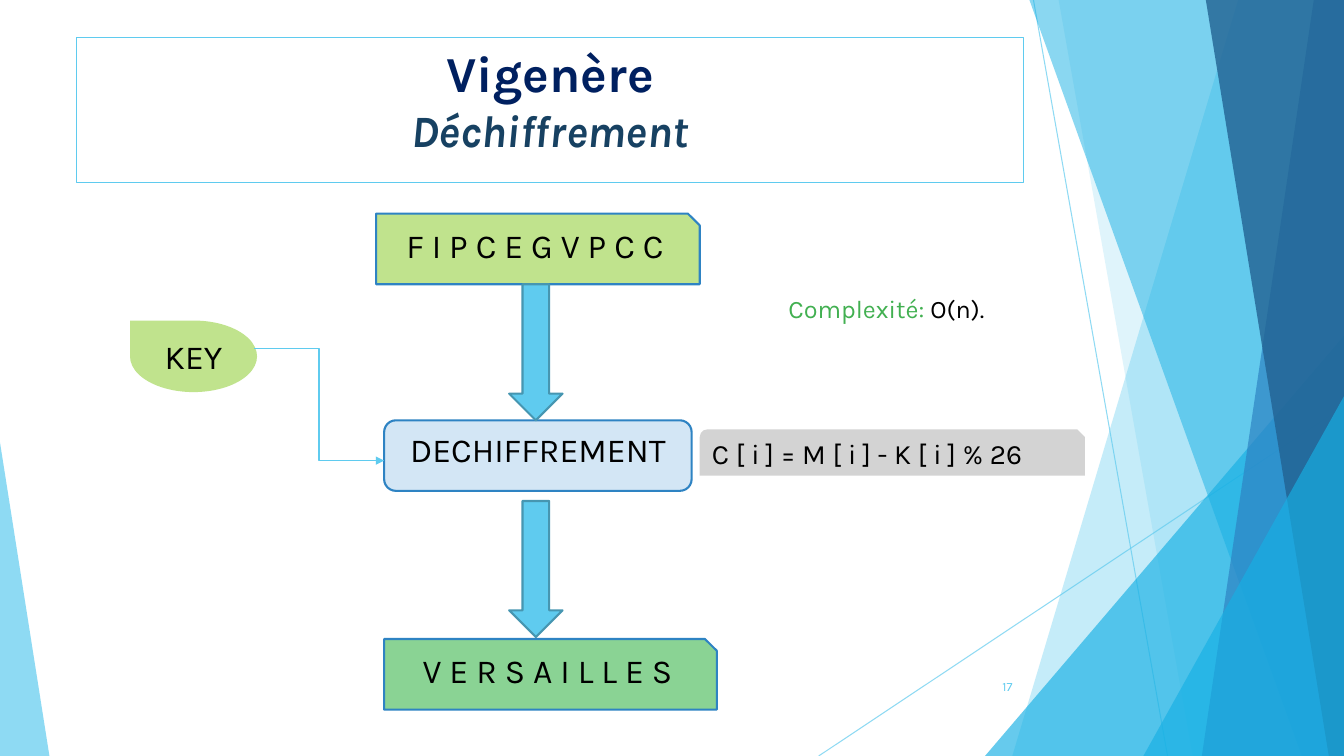
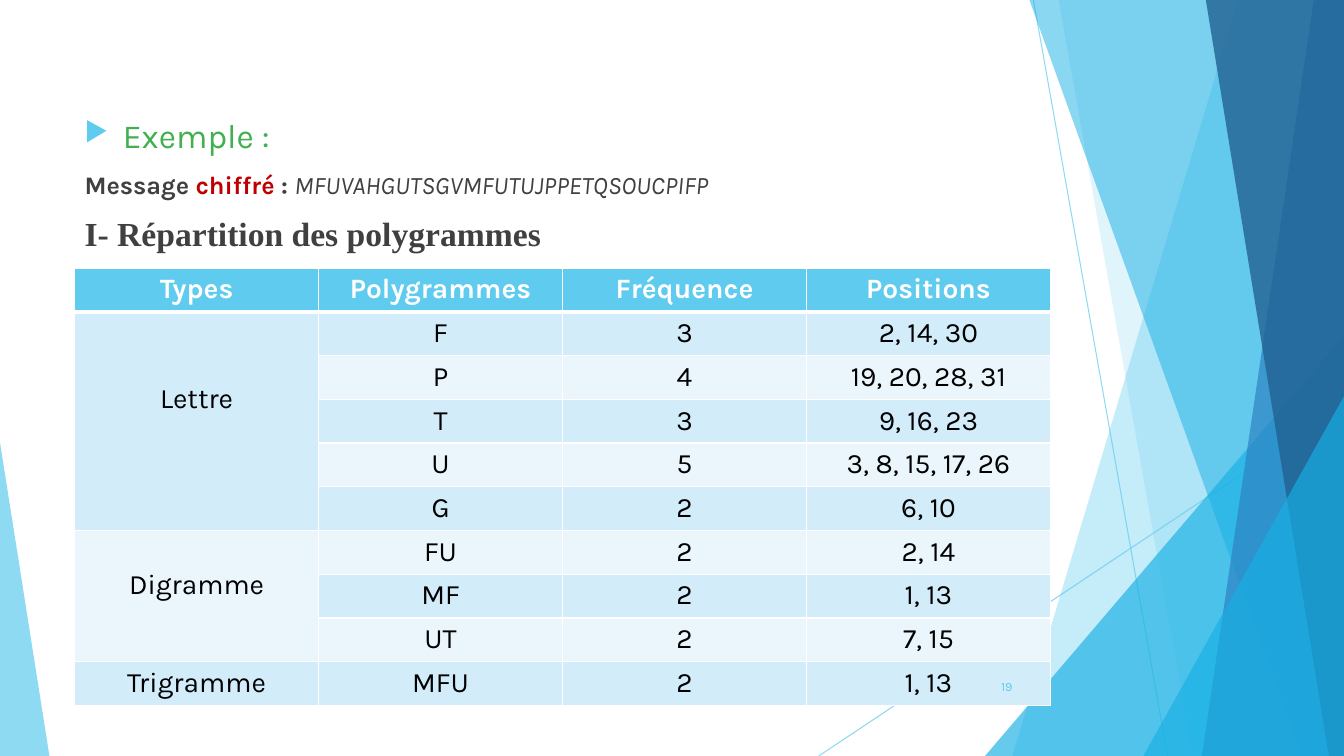
from dataclasses import dataclass

from lxml import etree
from pptx import Presentation
from pptx import util as u
from pptx.dml.color import RGBColor
from pptx.enum import shapes, text
from pptx.oxml.ns import qn

SHAPE = shapes.MSO_SHAPE
ALIGN = text.PP_ALIGN
ANCHOR = text.MSO_ANCHOR


@dataclass(frozen=True)
class Theme:
    font: str = "Karla"
    serif: str = "Times New Roman"
    sky: str = "5FCBEF"
    cyan: str = "17B0E4"
    blue: str = "2E83C3"
    deep: str = "226292"
    navy: str = "002060"
    petrol: str = "174162"
    arrow_edge: str = "4696B1"
    lime: str = "C0E38D"
    mint: str = "8AD394"
    pale: str = "D3E6F5"
    gray: str = "D3D3D3"
    green: str = "42B051"
    red: str = "C00000"
    body: str = "404040"
    black: str = "000000"
    white: str = "FFFFFF"
    bands: tuple = ("EAF6FC", "D2ECF9")
    title: int = 36
    subtitle: int = 32
    large: int = 24
    medium: int = 20
    small: int = 18
    number: int = 9


T = Theme()


@dataclass
class Run:
    words: str
    size: int = T.large
    color: str = T.black
    bold: bool = False
    italic: bool = False
    font: str = T.font


def sub(parent, tag, **attributes):
    return etree.SubElement(parent, qn(tag), attributes)


def set_alpha(color_parent, percent):
    for color in color_parent.iter(qn("a:srgbClr")):
        sub(color, "a:alpha", val=str(percent * 1000))


class Deck:
    def __init__(self):
        self.prs = Presentation()
        self.prs.slide_width = u.Inches(13.33)
        self.prs.slide_height = u.Inches(7.5)
        self.slide = None

    def new_slide(self):
        self.slide = self.prs.slides.add_slide(self.prs.slide_layouts[6])
        self.facets()

    def facets(self):
        """Draw the translucent facets along both slide edges."""
        self.line((10.25, 0), (11.58, 7.5), alpha=70)
        self.line((13.33, 4.03), (8.12, 7.5), alpha=70)
        self.facet(12.28, 10.04, T.sky, 36)
        self.facet(10.5, 11.83, T.sky, 20)
        self.corner((9.77, 3.33, 3.56, 4.17), 1, T.cyan, 66)
        self.facet(10.21, 12.91, T.cyan, 50)
        self.facet(13.03, 11.92, T.blue, 70)
        self.facet(11.96, 13.18, T.deep, 80)
        self.corner((11.34, 3.93, 1.99, 3.57), 1, T.cyan, 66)
        self.corner((0, 4.39, 0.49, 3.11), 0, T.sky, 70)

    def facet(self, top_x, bottom_x, color, alpha):
        """Fill from a slanted left edge to the right edge of the slide."""
        outline = [(u.Inches(x), u.Inches(y)) for x, y in
                   ((top_x, 0), (13.33, 0), (13.33, 7.5), (bottom_x, 7.5))]
        builder = self.slide.shapes.build_freeform(*outline[0])
        builder.add_line_segments(outline[1:], close=True)
        self.paint(builder.convert_to_shape(), color, alpha=alpha)

    def corner(self, box, apex, color, alpha):
        triangle = self.shape(SHAPE.ISOSCELES_TRIANGLE, box, color, alpha=alpha)
        triangle.adjustments[0] = apex

    def paint(self, shape, fill=None, edge=None, width=1.5, alpha=None):
        shape.shadow.inherit = False
        if fill:
            shape.fill.solid()
            shape.fill.fore_color.rgb = RGBColor.from_string(fill)
        else:
            shape.fill.background()
        if alpha:
            set_alpha(shape.element.spPr, alpha)
        if edge:
            shape.line.color.rgb = RGBColor.from_string(edge)
            shape.line.width = u.Pt(width)
        else:
            shape.line.fill.background()

    def shape(self, kind, box, fill=None, edge=None, paragraphs=(),
              align=ALIGN.CENTER, width=1.5, alpha=None):
        shape = self.slide.shapes.add_shape(kind, *map(u.Inches, box))
        self.paint(shape, fill, edge, width, alpha)
        if paragraphs:
            self.set_text(shape.text_frame, paragraphs, align)
        return shape

    def line(self, start, end, kind=shapes.MSO_CONNECTOR.STRAIGHT,
             width=0.75, alpha=None, arrow=False):
        line = self.slide.shapes.add_connector(kind, *map(u.Inches, start + end))
        line.line.color.rgb = RGBColor.from_string(T.sky)
        line.line.width = u.Pt(width)
        properties = line.element.spPr
        if alpha:
            set_alpha(properties, alpha)
        if arrow:
            sub(properties.find(qn("a:ln")), "a:tailEnd", type="triangle")
        sub(properties, "a:effectLst")

    def set_text(self, frame, paragraphs, align=ALIGN.LEFT, anchor=ANCHOR.TOP, gap=0):
        frame.word_wrap = True
        frame.vertical_anchor = anchor
        for index, runs in enumerate(paragraphs):
            paragraph = frame.add_paragraph() if index else frame.paragraphs[0]
            paragraph.alignment = align
            if index and gap:
                paragraph.space_before = u.Pt(gap)
            for item in runs:
                run = paragraph.add_run()
                run.text = item.words
                font = run.font
                font.name, font.size = item.font, u.Pt(item.size)
                font.bold, font.italic = item.bold, item.italic
                font.color.rgb = RGBColor.from_string(item.color)

    def text(self, box, paragraphs, **layout):
        frame = self.slide.shapes.add_textbox(*map(u.Inches, box)).text_frame
        self.set_text(frame, paragraphs, **layout)
        return frame

    def bullet(self, paragraph):
        properties = paragraph._p.get_or_add_pPr()
        indent = u.Inches(0.38)
        properties.set("marL", str(indent))
        properties.set("indent", str(-indent))
        sub(sub(properties, "a:buClr"), "a:srgbClr", val=T.sky)
        sub(properties, "a:buSzPct", val="80000")
        sub(properties, "a:buChar", char="▶")

    def page_number(self, number):
        self.text((9.39, 6.61, 0.75, 0.4), [[Run(number, T.number, T.sky)]],
                  align=ALIGN.RIGHT, anchor=ANCHOR.MIDDLE)

    def borders(self, cell, top, bottom):
        properties = cell._tc.get_or_add_tcPr()
        for side, width in (("L", 1), ("R", 1), ("T", top), ("B", bottom)):
            edge = sub(properties, f"a:ln{side}", w=str(u.Pt(width)))
            sub(sub(edge, "a:solidFill"), "a:srgbClr", val=T.white)

    def table(self, left, top, column_width, row_height, header, groups):
        """Draw a banded table; groups are (label, label offset, rows)."""
        rows = [header]
        spans = []
        for label, offset, members in groups:
            spans.append((len(rows), len(members), offset))
            rows += [(label if not i else "", *member)
                     for i, member in enumerate(members)]
        size = (column_width * len(header), row_height * len(rows))
        table = self.slide.shapes.add_table(
            len(rows), len(header), *map(u.Inches, (left, top, *size))).table
        for r, row in enumerate(rows):
            for c, words in enumerate(row):
                cell = table.cell(r, c)
                self.borders(cell, 3 if r == 1 else 1, 1 if r else 3)
                cell.fill.solid()
                cell.fill.fore_color.rgb = RGBColor.from_string(
                    T.bands[r % 2] if r else T.sky)
                if words:
                    run = Run(words, T.medium, T.black if r else T.white, bold=not r)
                    self.set_text(cell.text_frame, [[run]], ALIGN.CENTER)
        for first, count, offset in spans:
            if count > 1:
                label_cell = table.cell(first, 0)
                label_cell.merge(table.cell(first + count - 1, 0))
                label_cell.margin_top = u.Inches(offset)


def decryption_slide(deck):
    deck.new_slide()
    deck.shape(SHAPE.RECTANGLE, (0.76, 0.37, 9.39, 1.44), edge=T.sky, width=0.75,
               paragraphs=[
                   [Run("Vigenère", T.title, T.navy, bold=True)],
                   [Run("Déchiffrement", T.subtitle, T.petrol, bold=True, italic=True)]])
    for kind, box, fill, edge, label in (
            (SHAPE.SNIP_1_RECTANGLE, (3.73, 2.12, 3.21, 0.7), T.lime, T.blue,
             "F I P C E G V P C C"),
            (SHAPE.TEAR, (1.29, 3.18, 1.26, 0.71), T.lime, None, "KEY"),
            (SHAPE.ROUNDED_RECTANGLE, (3.81, 4.17, 3.05, 0.7), T.pale, T.blue,
             "DECHIFFREMENT"),
            (SHAPE.SNIP_1_RECTANGLE, (3.81, 6.34, 3.3, 0.7), T.mint, T.blue,
             "V E R S A I L L E S")):
        step = deck.shape(kind, box, fill, edge, [[Run(label)]])
        if kind == SHAPE.TEAR:
            step.element.spPr.find(qn("a:xfrm")).set("flipH", "1")
    for top in (2.82, 4.97):
        deck.shape(SHAPE.DOWN_ARROW, (5.05, top, 0.53, 1.35), T.sky, T.arrow_edge)
    deck.line((2.52, 3.46), (3.81, 4.57), shapes.MSO_CONNECTOR.ELBOW, 1, arrow=True)
    deck.shape(SHAPE.SNIP_ROUND_RECTANGLE, (6.94, 4.26, 3.82, 0.46), T.gray,
               paragraphs=[[Run("C [ i ] = M [ i ] - K [ i ] % 26", T.medium)]],
               align=ALIGN.LEFT)
    deck.text((7.72, 2.86, 2.71, 0.4),
              [[Run("Complexité: ", T.small, T.green), Run("O(n).", T.small)]])
    deck.page_number("17")


def polygram_slide(deck):
    deck.new_slide()
    example = deck.text((0.74, 1.09, 9.4, 1.5), [
        [Run("Exemple :", T.large, T.green)],
        [Run("Message ", T.small, T.body, bold=True),
         Run("chiffré", T.small, T.red, bold=True),
         Run(" : ", T.small, T.body, bold=True),
         Run("MFUVAHGUTSGVMFUTUJPPETQSOUCPIFP", T.small, T.body, italic=True)],
        [Run("I- Répartition des polygrammes", T.large, T.body, bold=True,
             font=T.serif)]], gap=10)
    deck.bullet(example.paragraphs[0])
    deck.table(
        0.74, 2.66, 2.42, 0.42,
        ("Types", "Polygrammes", "Fréquence", "Positions"),
        (("Lettre", 0.7, (("F", "3", "2, 14, 30"),
                          ("P", "4", "19, 20, 28, 31"),
                          ("T", "3", "9, 16, 23"),
                          ("U", "5", "3, 8, 15, 17, 26"),
                          ("G", "2", "6, 10"))),
         ("Digramme", 0.38, (("FU", "2", "2, 14"),
                             ("MF", "2", "1, 13"),
                             ("UT", "2", "7, 15"))),
         ("Trigramme", 0.05, (("MFU", "2", "1, 13"),))))
    deck.page_number("19")


def main():
    deck = Deck()
    decryption_slide(deck)
    polygram_slide(deck)
    deck.prs.save("out.pptx")


if __name__ == "__main__":
    main()
